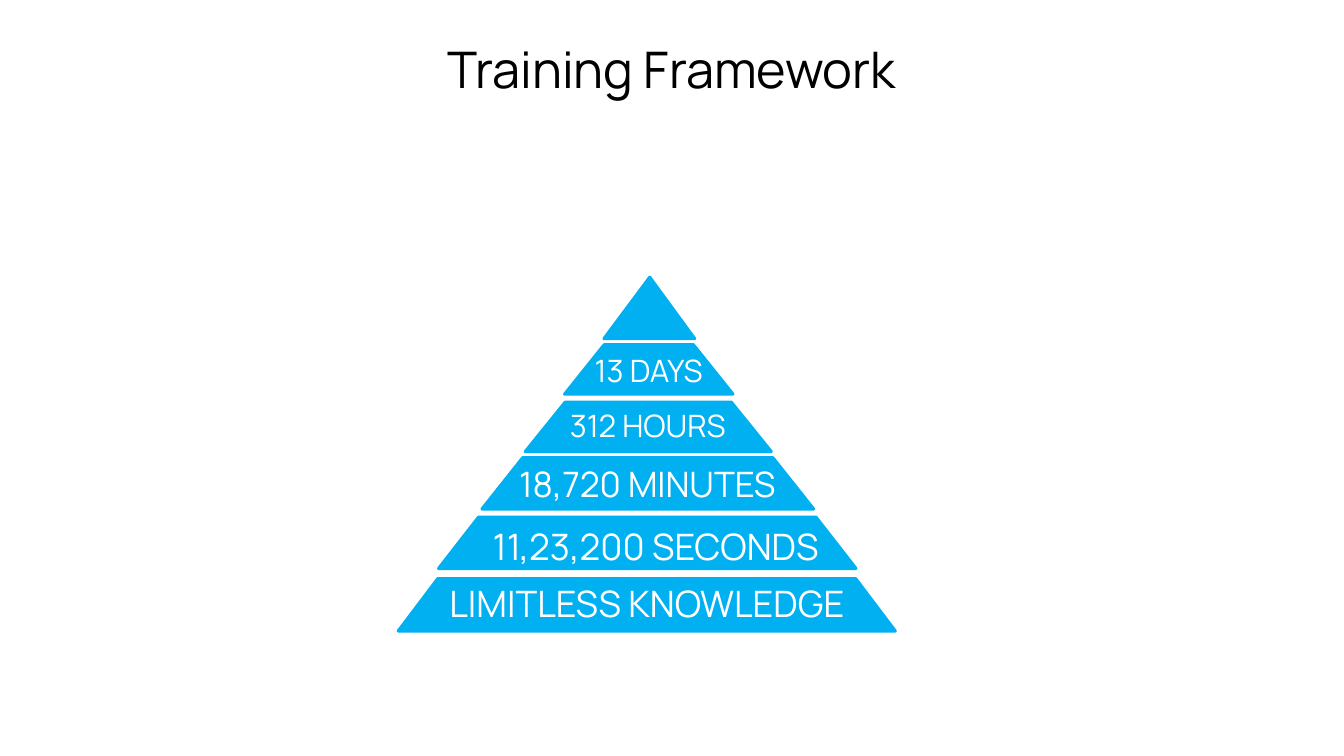
from dataclasses import dataclass
from typing import NamedTuple

from pptx import Presentation
from pptx.dml.color import RGBColor
from pptx.enum.shapes import MSO_SHAPE
from pptx.enum.text import MSO_ANCHOR, MSO_AUTO_SIZE, PP_ALIGN
from pptx.util import Inches, Pt


@dataclass(frozen=True)
class Theme:
    font: str = "Manrope"
    accent: RGBColor = RGBColor(0x00, 0xB0, 0xF0)
    dark: RGBColor = RGBColor(0x00, 0x00, 0x00)
    light: RGBColor = RGBColor(0xFF, 0xFF, 0xFF)
    title_size: int = 36
    large_size: int = 26
    medium_size: int = 25
    small_size: int = 22
    outline: float = 2.25


THEME = Theme()


class Box(NamedTuple):
    left: float
    top: float
    width: float
    height: float

    def inside(self, parent):
        return Box(parent.left + self.left, parent.top + self.top, self.width, self.height)

    def lengths(self):
        return [Inches(value) for value in self]


TITLE_BOX = Box(0.35, 0.28, 12.63, 0.81)
PYRAMID_BOX = Box(3.95, 2.75, 4.93, 3.51)

# Tier box and slope, both within the pyramid box, from apex to base
APEX = (Box(2.04, 0, 0.9, 0.61), 0.505)
TIERS = [
    (Box(1.65, 0.67, 1.67, 0.49), 0.801),
    (Box(1.26, 1.24, 2.44, 0.49), 0.808),
    (Box(0.83, 1.79, 3.29, 0.51), 0.794),
    (Box(0.4, 2.38, 4.14, 0.51), 0.779),
    (Box(0, 2.99, 4.93, 0.52), 0.755),
]

# Label format shared by the upper tiers and by the two lowest tiers
UPPER = dict(margins=(0.1, 0.05), grow=True)
LOWER = dict(size=THEME.large_size, anchor=MSO_ANCHOR.MIDDLE, spacing=1.1)
LABELS = [
    ("13 DAYS", Box(1.85, 0.69, 2.44, 0.47), dict(UPPER, size=THEME.small_size, align=PP_ALIGN.LEFT)),
    ("312 HOURS", Box(1.51, 1.24, 1.93, 0.47), dict(UPPER, size=THEME.small_size)),
    ("18,720 MINUTES", Box(0.9, 1.79, 3.14, 0.52), dict(UPPER, size=THEME.medium_size)),
    ("11,23,200 SECONDS", Box(0.71, 2.4, 3.69, 0.49), LOWER),
    ("LIMITLESS KNOWLEDGE", Box(0.4, 2.98, 4.14, 0.47), LOWER),
]


def write_text(shape, text, *, size, color=THEME.light, align=PP_ALIGN.CENTER,
               anchor=MSO_ANCHOR.TOP, margins=(0, 0), spacing=1.0, grow=False):
    frame = shape.text_frame
    frame.text = text
    frame.word_wrap = True
    frame.auto_size = MSO_AUTO_SIZE.SHAPE_TO_FIT_TEXT if grow else MSO_AUTO_SIZE.NONE
    frame.vertical_anchor = anchor
    frame.margin_left = frame.margin_right = Inches(margins[0])
    frame.margin_top = frame.margin_bottom = Inches(margins[1])
    paragraph = frame.paragraphs[0]
    paragraph.alignment = align
    paragraph.line_spacing = spacing
    font = paragraph.runs[0].font
    font.name, font.size, font.color.rgb = THEME.font, Pt(size), color


def add_tier(slide, kind, box, slope):
    shape = slide.shapes.add_shape(kind, *box.lengths())
    shape.adjustments[0] = slope
    shape.shadow.inherit = False
    shape.fill.solid()
    shape.fill.fore_color.rgb = THEME.accent
    shape.line.color.rgb = THEME.accent
    shape.line.width = Pt(THEME.outline)


def add_title(slide, box):
    title = slide.shapes.title
    title.left, title.top, title.width, title.height = box.lengths()
    write_text(title, "Training Framework", size=THEME.title_size, color=THEME.dark,
               margins=(0.1, 0.1), grow=True)


def add_pyramid(slide, box):
    # Tiers
    apex_box, apex_slope = APEX
    add_tier(slide, MSO_SHAPE.ISOSCELES_TRIANGLE, apex_box.inside(box), apex_slope)
    for tier_box, slope in TIERS:
        add_tier(slide, MSO_SHAPE.TRAPEZOID, tier_box.inside(box), slope)

    # Labels
    for text, label_box, label_format in LABELS:
        label = slide.shapes.add_textbox(*label_box.inside(box).lengths())
        write_text(label, text, **label_format)


def main():
    presentation = Presentation()
    presentation.slide_width = Inches(13.33)
    presentation.slide_height = Inches(7.5)
    title_only = presentation.slide_layouts[5]
    slide = presentation.slides.add_slide(title_only)
    add_title(slide, TITLE_BOX)
    add_pyramid(slide, PYRAMID_BOX)
    presentation.save("out.pptx")


if __name__ == "__main__":
    main()
